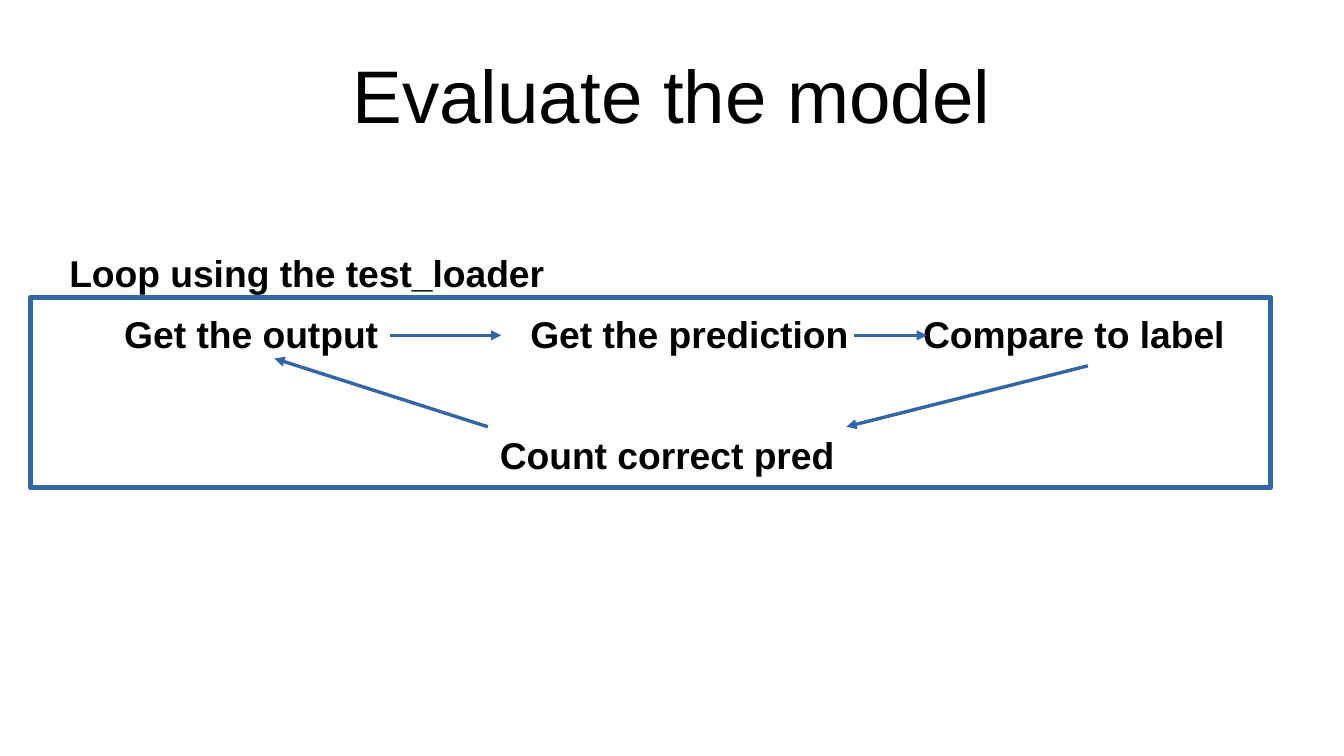
from dataclasses import dataclass

from lxml.etree import SubElement
from pptx import Presentation
from pptx.dml.color import RGBColor
from pptx.enum.shapes import MSO_CONNECTOR, MSO_SHAPE
from pptx.enum.text import MSO_ANCHOR, MSO_AUTO_SIZE, PP_ALIGN
from pptx.oxml.ns import qn
from pptx.shapes.autoshape import Shape
from pptx.slide import Slide
from pptx.util import Emu, Inches, Pt

COLORS = {"text": "000000", "line": "3465A4"}
FONT = "Arial"
CELL = Inches(0.25)  # side of one square of the slide's grid
RIGHT_SIDE = 3


@dataclass(frozen=True)
class Area:
    """Place and size in grid columns and rows."""
    column: float
    row: float
    columns: float
    rows: float

    def lengths(self) -> tuple[Emu, ...]:
        return tuple(map(grid, (self.column, self.row, self.columns, self.rows)))


@dataclass(frozen=True)
class Label:
    text: str
    area: Area
    wrap: bool = True


@dataclass(frozen=True)
class Arrow:
    start: tuple[float, float]
    end: tuple[float, float]
    source: str = ""


TITLE = Label("Evaluate the model", Area(2.2, 1, 39.68, 4.12))
LOOP_FRAME = Area(1, 9.76, 40.68, 6.24)
LABELS = (
    Label("Get the output", Area(3.68, 10, 9.12, 2), wrap=False),
    Label("Get the prediction", Area(17, 10, 12, 2)),
    Label("Compare to label", Area(29.88, 10, 10.8, 2)),
    Label("Count correct pred", Area(16, 14, 11.76, 2), wrap=False),
    Label("Loop using the test_loader", Area(1.88, 8, 20.8, 2)),
)
ARROWS = (
    Arrow((12.8, 11), (16.44, 11), source="Get the output"),
    Arrow((28, 11), (30.4, 11)),
    Arrow((35.68, 12), (27.76, 14)),
    Arrow((16, 14), (9, 11.76)),
)


def grid(cells: float) -> Emu:
    return Emu(round(cells * CELL))


def color(name: str) -> RGBColor:
    return RGBColor.from_string(COLORS[name])


def add_text(slide: Slide, label: Label, *, size: float = 22, bold: bool = True,
             align: PP_ALIGN = PP_ALIGN.LEFT,
             anchor: MSO_ANCHOR = MSO_ANCHOR.TOP) -> Shape:
    shape = slide.shapes.add_textbox(*label.area.lengths())
    frame = shape.text_frame
    frame.auto_size = MSO_AUTO_SIZE.NONE
    frame.word_wrap = label.wrap
    frame.vertical_anchor = anchor
    paragraph = frame.paragraphs[0]
    paragraph.alignment = align
    run = paragraph.add_run()
    run.text = label.text
    run.font.name = FONT
    run.font.size = Pt(size)
    run.font.bold = bold
    run.font.color.rgb = color("text")
    return shape


def add_frame(slide: Slide, area: Area) -> None:
    shape = slide.shapes.add_shape(MSO_SHAPE.RECTANGLE, *area.lengths())
    shape.shadow.inherit = False
    shape.fill.background()
    shape.line.color.rgb = color("line")
    shape.line.width = Pt(3)


def add_arrow(slide: Slide, arrow: Arrow, boxes: dict[str, Shape]) -> None:
    connector = slide.shapes.add_connector(
        MSO_CONNECTOR.STRAIGHT, *map(grid, arrow.start + arrow.end))
    if arrow.source:
        connector.begin_connect(boxes[arrow.source], RIGHT_SIDE)
    connector.line.color.rgb = color("line")
    connector.line.width = Pt(0)
    properties = connector.element.spPr
    SubElement(properties.find(qn("a:ln")), qn("a:tailEnd"), type="triangle")
    SubElement(properties, qn("a:effectLst"))


def main() -> None:
    presentation = Presentation()
    presentation.slide_width = Inches(11.02)
    presentation.slide_height = Inches(6.2)
    slide = presentation.slides.add_slide(presentation.slide_layouts[6])

    add_text(slide, TITLE, size=44, bold=False, align=PP_ALIGN.CENTER,
             anchor=MSO_ANCHOR.MIDDLE)
    boxes = {label.text: add_text(slide, label) for label in LABELS}
    add_frame(slide, LOOP_FRAME)
    for arrow in ARROWS:
        add_arrow(slide, arrow, boxes)
    presentation.save("out.pptx")


if __name__ == "__main__":
    main()
